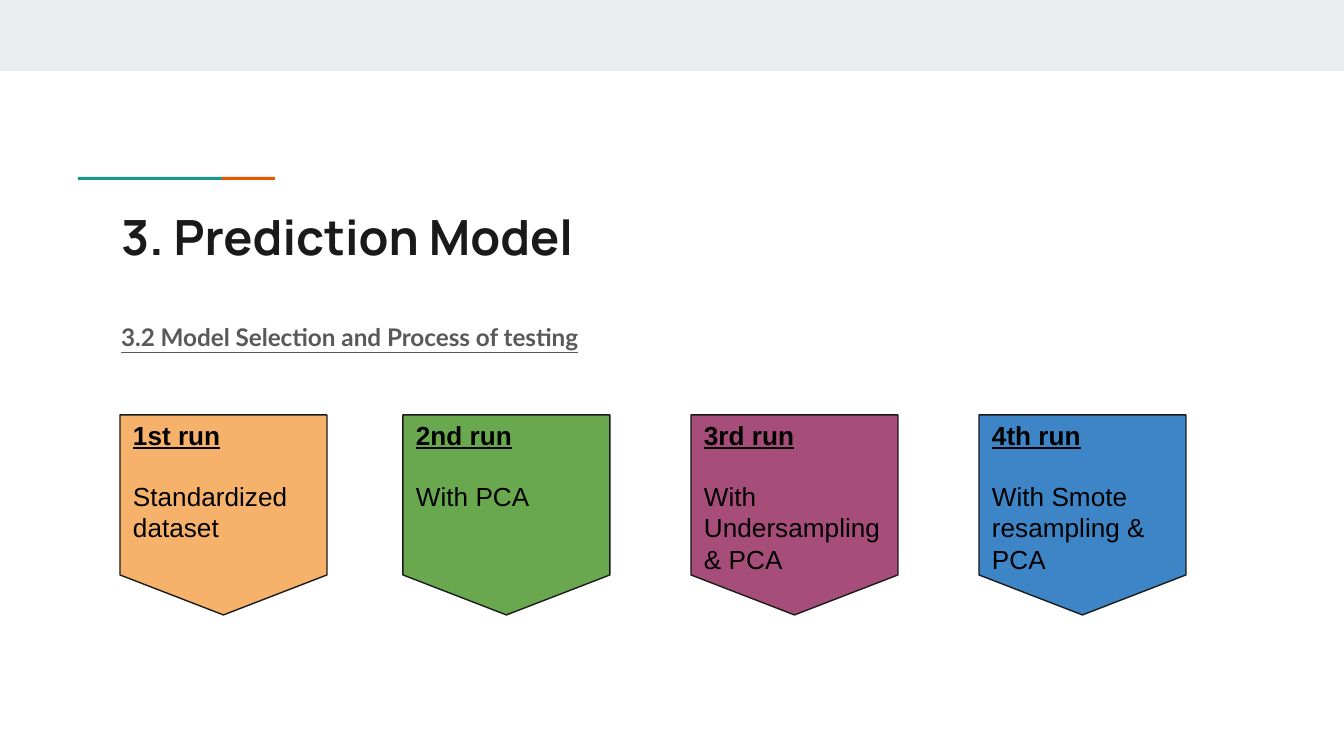
from dataclasses import dataclass

from lxml import etree
from pptx import Presentation
from pptx.dml.color import RGBColor
from pptx.enum.shapes import MSO_SHAPE
from pptx.enum.text import MSO_ANCHOR, MSO_AUTO_SIZE, PP_ALIGN
from pptx.oxml.ns import qn
from pptx.util import Pt

RECT = MSO_SHAPE.RECTANGLE
TAG = MSO_SHAPE.FLOWCHART_OFFPAGE_CONNECTOR
TOP = MSO_ANCHOR.TOP
LEFT = PP_ALIGN.LEFT
FIXED = MSO_AUTO_SIZE.NONE
SCALE = 914400 / 134.4


@dataclass(frozen=True)
class Theme:
    band: str = "E9EDEE"
    teal: str = "1A9988"
    orange: str = "EB5600"
    ink: str = "1A1A1A"
    gray: str = "595959"
    black: str = "000000"
    head: int = 26
    sub: int = 13
    run: int = 14
    gap: int = 16


THEME = Theme()

RUNS = [
    (120, "F6B26B", "1st run", "Standardized dataset"),
    (403, "6AA84F", "2nd run", "With PCA"),
    (691, "A64D79", "3rd run", "With Undersampling & PCA"),
    (979, "3D85C6", "4th run", "With Smote resampling & PCA"),
]


def px(n):
    return round(n * SCALE)


def place(item, box):
    item.left, item.top, item.width, item.height = map(px, box)


def frame(item, top):
    text = item.text_frame
    text.word_wrap = True
    text.auto_size = FIXED
    text.vertical_anchor = TOP
    text.margin_left = text.margin_right = text.margin_bottom = px(13)
    text.margin_top = px(top)
    return text


def write(para, text, *, size, font, color, bold=False, under=False, space=1.0, before=0):
    para.alignment = LEFT
    para.line_spacing = space
    para.space_before = Pt(before)
    run = para.add_run()
    run.text = text
    run.font.size = Pt(size)
    run.font.name = font
    run.font.bold = bold
    run.font.underline = under
    run.font.color.rgb = RGBColor.from_string(color)


def draw(slide, kind, box, fill, line=None):
    shape = slide.shapes.add_shape(kind, *map(px, box))
    shape.shadow.inherit = False
    shape.fill.solid()
    shape.fill.fore_color.rgb = RGBColor.from_string(fill)
    if line:
        shape.line.color.rgb = RGBColor.from_string(line)
        shape.line.width = Pt(0.75)
    else:
        shape.line.fill.background()
    return shape


def add_rule(slide, box):
    x, y, w, h = box
    teal = round(w * 0.73)
    draw(slide, RECT, (x, y, teal, h), THEME.teal)
    draw(slide, RECT, (x + teal, y, w - teal, h), THEME.orange)


def add_title(slide, box):
    title = slide.shapes.title
    place(title, box)
    write(frame(title, 13).paragraphs[0], "3. Prediction Model",
          size=THEME.head, font="Manrope", color=THEME.ink, bold=True)


def add_body(slide, box):
    body = slide.placeholders[1]
    place(body, box)
    para = frame(body, 13).paragraphs[0]
    write(para, "3.2 Model Selection and Process of testing", size=THEME.sub,
          font="Lato", color=THEME.gray, bold=True, under=True, space=1.15)
    props = para._p.get_or_add_pPr()
    props.set("marL", "0")
    props.set("indent", "0")
    etree.SubElement(props, qn("a:buNone"))


def add_run(slide, box, fill, name, note):
    text = frame(draw(slide, TAG, box, fill, THEME.ink), 4)
    style = dict(size=THEME.run, font="Arial", color=THEME.black)
    write(text.paragraphs[0], name, bold=True, under=True, **style)
    write(text.add_paragraph(), note, before=THEME.gap, **style)


def main():
    deck = Presentation()
    deck.slide_width, deck.slide_height = px(1344), px(756)
    slide = deck.slides.add_slide(deck.slide_layouts[1])
    draw(slide, RECT, (0, 0, 1344, 71), THEME.band)
    add_rule(slide, (78, 177, 197, 3))
    add_title(slide, (108, 194, 1130, 79))
    add_body(slide, (108, 305, 1130, 429))
    for left, fill, name, note in RUNS:
        add_run(slide, (left, 415, 207, 200), fill, name, note)
    deck.save("out.pptx")


if __name__ == "__main__":
    main()
